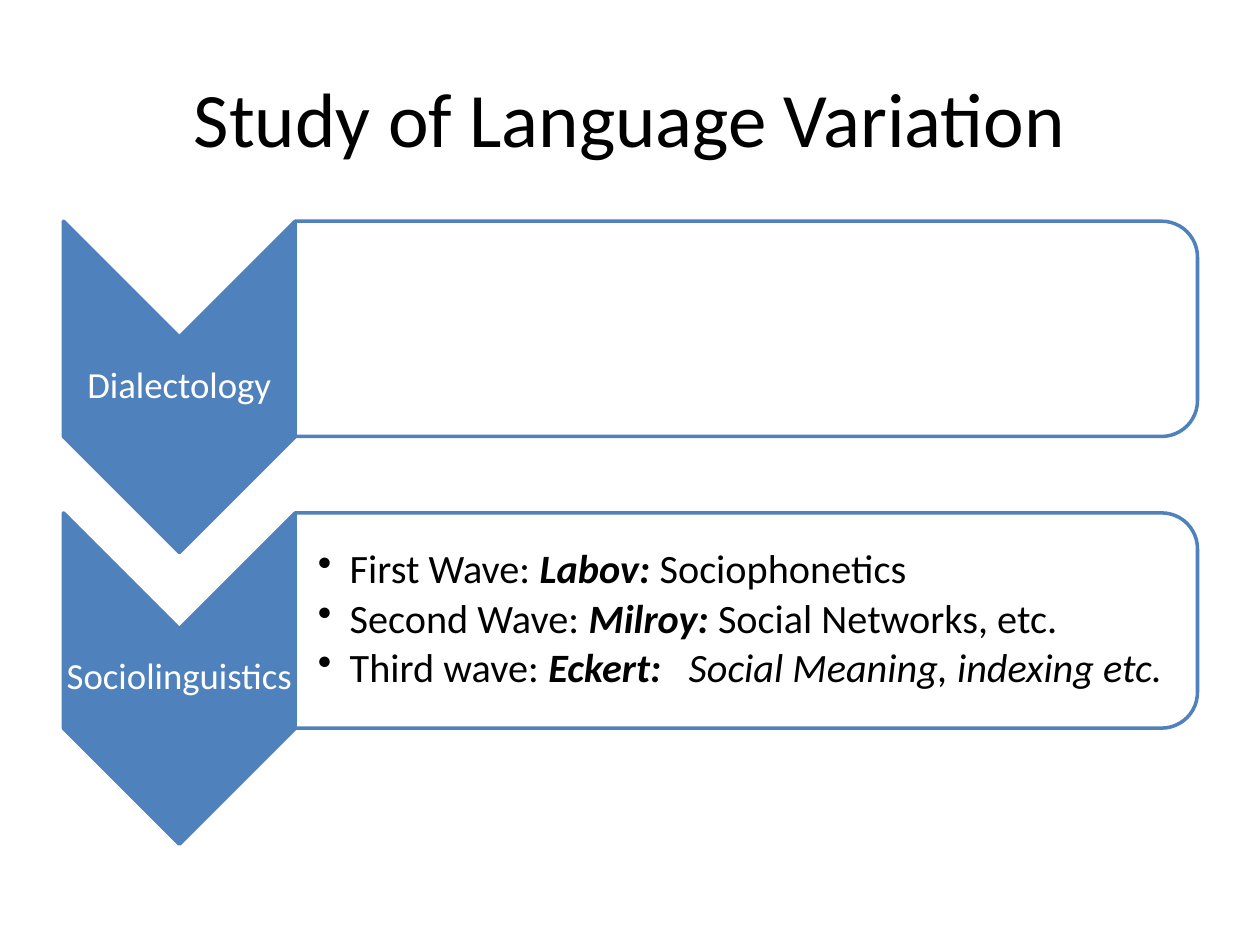
import pptx
import pptx.util
import pptx.dml.color
import pptx.enum.shapes
import pptx.enum.text
import pptx.oxml.ns
import lxml.etree

Cm, Pt = pptx.util.Cm, pptx.util.Pt
RGBColor = pptx.dml.color.RGBColor
SHAPE = pptx.enum.shapes.MSO_SHAPE
ALIGN = pptx.enum.text.PP_ALIGN

BLUE = RGBColor(0x4F, 0x81, 0xBD)
WHITE = RGBColor(0xFF, 0xFF, 0xFF)
BLACK = RGBColor(0x00, 0x00, 0x00)

PLAIN = {}
NAME = {"bold": True, "italic": True}
ITALIC = {"italic": True}
WIDE_SPACE = 10.4  # extra points after the last name

TITLE = "Study of Language Variation"
FIELDS = [
    ("Dialectology", []),
    ("Sociolinguistics", [
        [("First Wave: ", PLAIN), ("Labov: ", NAME), ("Sociophonetics", PLAIN)],
        [("Second Wave: ", PLAIN), ("Milroy: ", NAME), ("Social Networks, etc.", PLAIN)],
        [("Third wave: ", PLAIN), ("Eckert:", NAME), (" ", {**NAME, "spacing": WIDE_SPACE}),
         ("Social Meaning, indexing etc.", ITALIC)],
    ]),
]

# Lengths in centimetres
LEFT, TOP, PITCH = 1.28, 4.46, 5.88
ARROW_WIDTH, ARROW_HEIGHT = 4.67, 6.68
BAR_WIDTH, BAR_HEIGHT = 18.19, 4.34
LABEL_DROP, LABEL_HEIGHT = 2.33, 2.0
LIST_DROP, LIST_WIDTH, LIST_HEIGHT = 0.21, 17.98, 3.91


def add_turned(page, kind, left, top, width, height, fill):
    """Add a shape turned 90 degrees that covers the given area once turned."""
    shape = page.shapes.add_shape(
        kind, Cm(left + (width - height) / 2), Cm(top + (height - width) / 2),
        Cm(height), Cm(width))
    shape.rotation = 90
    shape.shadow.inherit = False
    shape.fill.solid()
    shape.fill.fore_color.rgb = fill
    shape.line.color.rgb = BLUE
    shape.line.width = Pt(2)
    return shape


def add_text(page, area, paragraphs, size, color, margins, para_format):
    box = page.shapes.add_textbox(*(Cm(length) for length in area))
    frame = box.text_frame
    frame.word_wrap = True
    frame.vertical_anchor = pptx.enum.text.MSO_ANCHOR.MIDDLE
    for side, margin in zip(("left", "top", "right", "bottom"), margins):
        setattr(frame, f"margin_{side}", Cm(margin))
    for index, spans in enumerate(paragraphs):
        para = frame.paragraphs[0] if index == 0 else frame.add_paragraph()
        for name, value in para_format.items():
            setattr(para, name, value)
        for text, style in spans:
            span = para.add_run()
            span.text = text
            font = span.font
            font.color.rgb = color
            values = {"name": "Calibri", "size": Pt(size), **style}
            spacing = values.pop("spacing", None)
            for name, value in values.items():
                setattr(font, name, value)
            if spacing:
                span._r.get_or_add_rPr().set("spc", str(round(spacing * 100)))
    return box


def add_bullet(para):
    properties = para._p.get_or_add_pPr()
    indent = Cm(0.64)
    properties.set("marL", str(indent))
    properties.set("indent", str(-indent))
    bullet = lxml.etree.SubElement(properties, pptx.oxml.ns.qn("a:buChar"))
    bullet.set("char", "•")


def add_field(page, top, label, waves):
    bar_left = LEFT + ARROW_WIDTH
    add_turned(page, SHAPE.CHEVRON, LEFT, top, ARROW_WIDTH, ARROW_HEIGHT, BLUE)
    add_text(page, (LEFT, top + LABEL_DROP, ARROW_WIDTH, LABEL_HEIGHT),
             [[(label, PLAIN)]], 21, WHITE, [0.03] * 4,
             {"alignment": ALIGN.CENTER, "line_spacing": 0.9})
    bar = add_turned(page, SHAPE.ROUND_2_SAME_RECTANGLE, bar_left, top,
                     BAR_WIDTH, BAR_HEIGHT, WHITE)
    color = bar.fill._xPr.find(".//" + pptx.oxml.ns.qn("a:srgbClr"))
    lxml.etree.SubElement(color, pptx.oxml.ns.qn("a:alpha")).set("val", "90000")
    if waves:
        box = add_text(page, (bar_left, top + LIST_DROP, LIST_WIDTH, LIST_HEIGHT),
                       waves, 23, BLACK, (0.46, 0.05, 0.05, 0.05),
                       {"line_spacing": 0.9, "space_after": Pt(3.45)})
        for para in box.text_frame.paragraphs:
            add_bullet(para)


def main():
    deck = pptx.Presentation()
    deck.slide_width, deck.slide_height = Cm(25.4), Cm(19.05)
    page = deck.slides.add_slide(deck.slide_layouts[6])
    add_text(page, (1.27, 0.76, 22.86, 3.18), [[(TITLE, PLAIN)]], 44, BLACK,
             (0.25, 0.13, 0.25, 0.13), {"alignment": ALIGN.CENTER})
    for row, (label, waves) in enumerate(FIELDS):
        add_field(page, TOP + row * PITCH, label, waves)
    deck.save("out.pptx")


if __name__ == "__main__":
    main()
